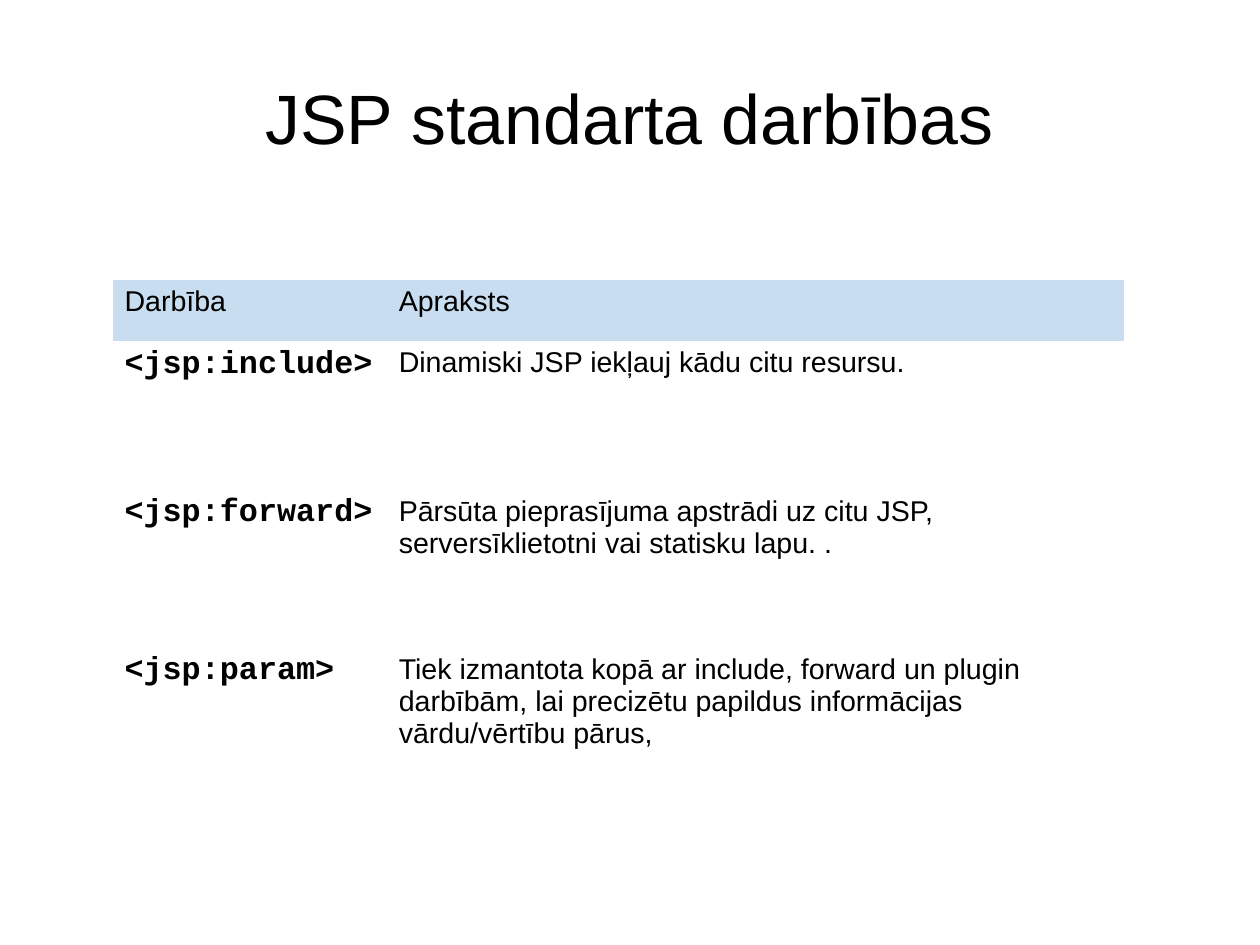
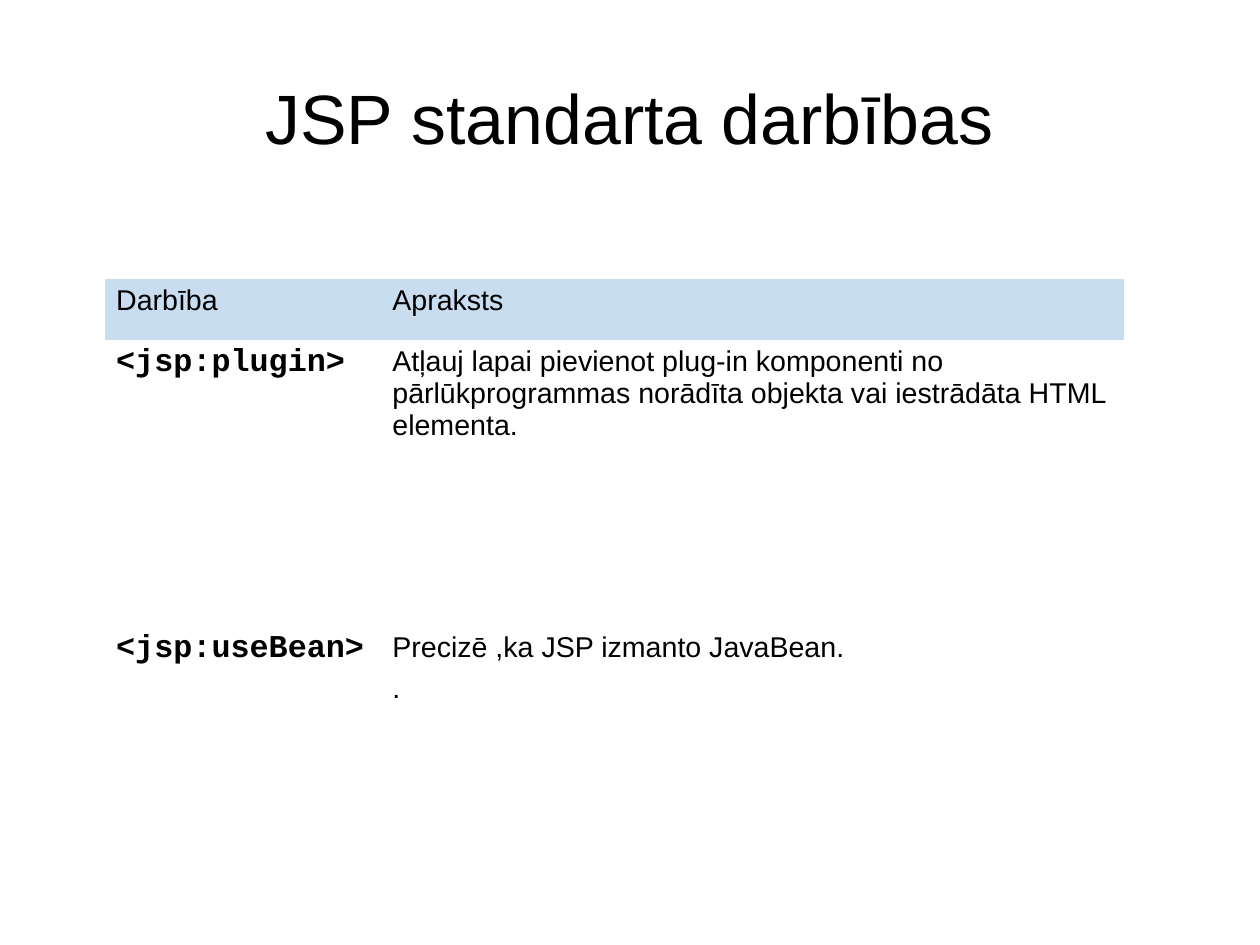
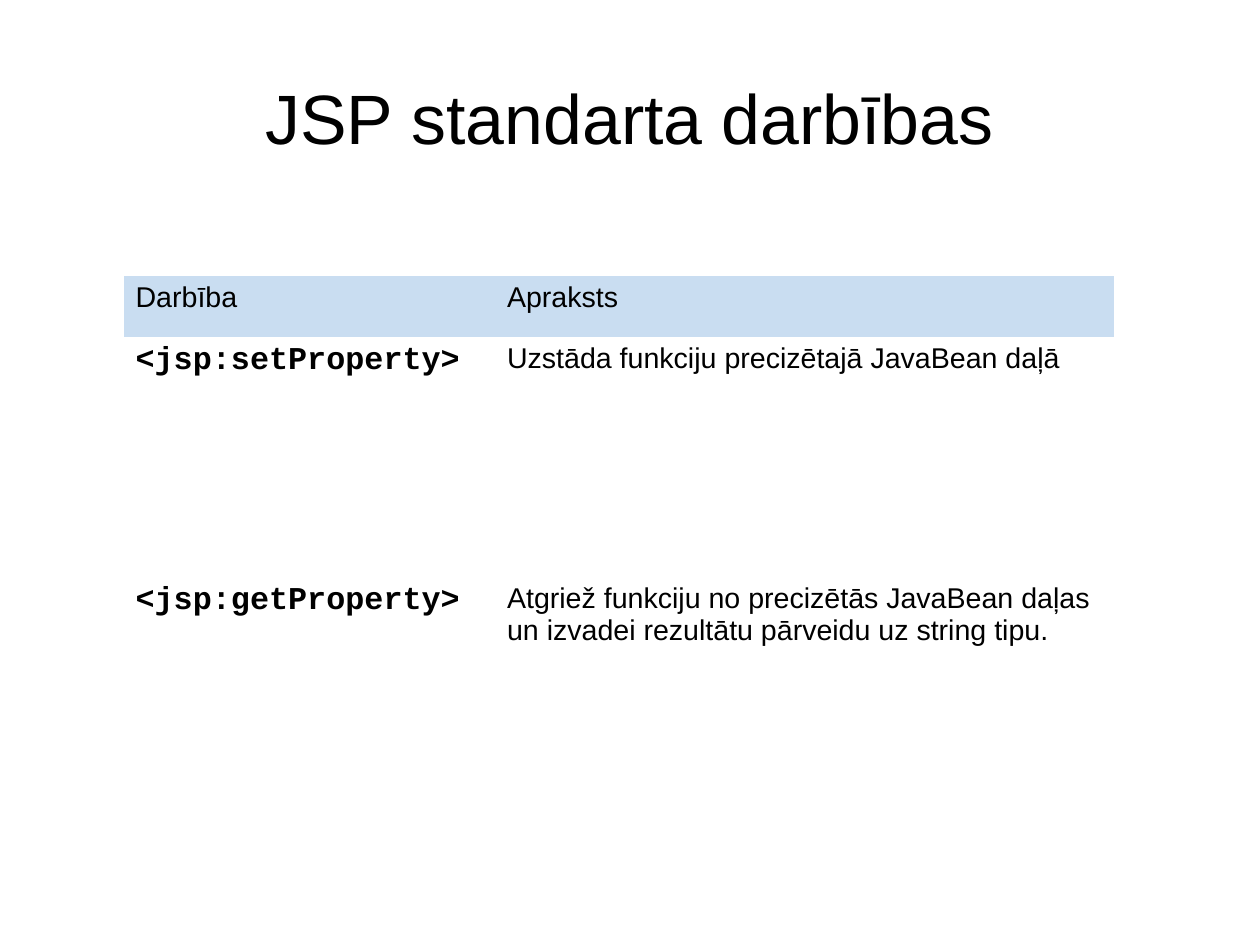
from dataclasses import dataclass

import pptx
import pptx.dml.color
import pptx.enum.text
import pptx.oxml.ns
import pptx.slide
import pptx.text.text
import pptx.util

# Shared look: 288 px make one inch
EMU_PER_PX = 3175
SLIDE_SIZE = (3175, 2381)
TITLE_BOX = (159, 95, 2857, 398)
TITLE_TEXT = "JSP standarta darbības"
HEADINGS = ("Darbība", "Apraksts")
HEADER_HEIGHT = 153
TITLE_ONLY_LAYOUT = 5
PLAIN_TABLE_STYLE = "{2D5ABB26-0587-4C30-8999-92F81FD0307C}"

BLACK = pptx.dml.color.RGBColor(0x00, 0x00, 0x00)
HEADER_BLUE = pptx.dml.color.RGBColor(0xC9, 0xDD, 0xF1)


@dataclass(frozen=True)
class TextStyle:
    font: str
    size: int
    bold: bool = False
    space_before: int = 0


TITLE_STYLE = TextStyle("Arial", 44)
TAG_STYLE = TextStyle("Courier New", 20, bold=True, space_before=5)
BODY_STYLE = TextStyle("Arial", 18, space_before=6)


@dataclass(frozen=True)
class Action:
    tag: str
    description: tuple[str, ...]
    height: int


@dataclass(frozen=True)
class ActionTable:
    left: int
    top: int
    columns: tuple[int, int]
    actions: tuple[Action, ...]


# Content of the slides
ACTION_TABLES = (
    ActionTable(285, 706, (691, 1857), (
        Action("<jsp:include>", ("Dinamiski JSP iekļauj kādu citu resursu.",), 375),
        Action("<jsp:forward>", (
            "Pārsūta pieprasījuma apstrādi uz citu JSP, "
            "serversīklietotni vai statisku lapu. .",), 398),
        Action("<jsp:param>", (
            "Tiek izmantota kopā ar include, forward un plugin darbībām, "
            "lai precizētu papildus informācijas vārdu/vērtību pārus,",), 375),
    )),
    ActionTable(264, 703, (696, 1872), (
        Action("<jsp:plugin>", (
            "Atļauj lapai pievienot plug-in komponenti no pārlūkprogrammas "
            "norādīta objekta vai iestrādāta HTML elementa.",), 720),
        Action("<jsp:useBean>", ("Precizē ,ka JSP izmanto JavaBean.", "."), 490),
    )),
    ActionTable(313, 696, (936, 1558), (
        Action("<jsp:setProperty>", ("Uzstāda funkciju precizētajā JavaBean daļā",), 605),
        Action("<jsp:getProperty>", (
            "Atgriež funkciju no precizētās JavaBean daļas "
            "un izvadei rezultātu pārveidu uz string tipu.",), 490),
    )),
)


def px(length: int) -> pptx.util.Emu:
    return pptx.util.Emu(length * EMU_PER_PX)


def write(frame: pptx.text.text.TextFrame, lines: tuple[str, ...], style: TextStyle,
          align: pptx.enum.text.PP_ALIGN = pptx.enum.text.PP_ALIGN.LEFT) -> None:
    for index, line in enumerate(lines):
        para = frame.add_paragraph() if index else frame.paragraphs[0]
        para.alignment = align
        para.space_before = pptx.util.Pt(style.space_before)
        span = para.add_run()
        span.text = line
        span.font.name = style.font
        span.font.size = pptx.util.Pt(style.size)
        span.font.bold = style.bold
        span.font.color.rgb = BLACK


def add_title(page: pptx.slide.Slide) -> None:
    box = page.shapes.title
    box.left, box.top, box.width, box.height = map(px, TITLE_BOX)
    frame = box.text_frame
    frame.margin_left = frame.margin_right = frame.margin_top = frame.margin_bottom = 0
    frame.vertical_anchor = pptx.enum.text.MSO_ANCHOR.MIDDLE
    frame.auto_size = pptx.enum.text.MSO_AUTO_SIZE.NONE
    frame.word_wrap = True
    write(frame, (TITLE_TEXT,), TITLE_STYLE, pptx.enum.text.PP_ALIGN.CENTER)


def add_action_table(page: pptx.slide.Slide, layout: ActionTable) -> None:
    heights = (HEADER_HEIGHT, *(action.height for action in layout.actions))
    holder = page.shapes.add_table(
        len(heights), len(layout.columns), px(layout.left), px(layout.top),
        px(sum(layout.columns)), px(sum(heights)))
    table = holder.table
    table.first_row = table.horz_banding = False
    style_id = next(holder.element.iter(pptx.oxml.ns.qn("a:tableStyleId")))
    style_id.text = PLAIN_TABLE_STYLE

    for column, width in zip(table.columns, layout.columns):
        column.width = px(width)
    for row, height in zip(table.rows, heights):
        row.height = px(height)

    # Header row
    for column, heading in enumerate(HEADINGS):
        cell = table.cell(0, column)
        cell.fill.solid()
        cell.fill.fore_color.rgb = HEADER_BLUE
        write(cell.text_frame, (heading,), BODY_STYLE)

    # One row per action
    for row, action in enumerate(layout.actions, start=1):
        contents = (((action.tag,), TAG_STYLE), (action.description, BODY_STYLE))
        for column, (lines, style) in enumerate(contents):
            cell = table.cell(row, column)
            cell.fill.background()
            write(cell.text_frame, lines, style)


def main() -> None:
    deck = pptx.Presentation()
    deck.slide_width, deck.slide_height = map(px, SLIDE_SIZE)
    for layout in ACTION_TABLES:
        page = deck.slides.add_slide(deck.slide_layouts[TITLE_ONLY_LAYOUT])
        add_title(page)
        add_action_table(page, layout)
    deck.save("out.pptx")


if __name__ == "__main__":
    main()
